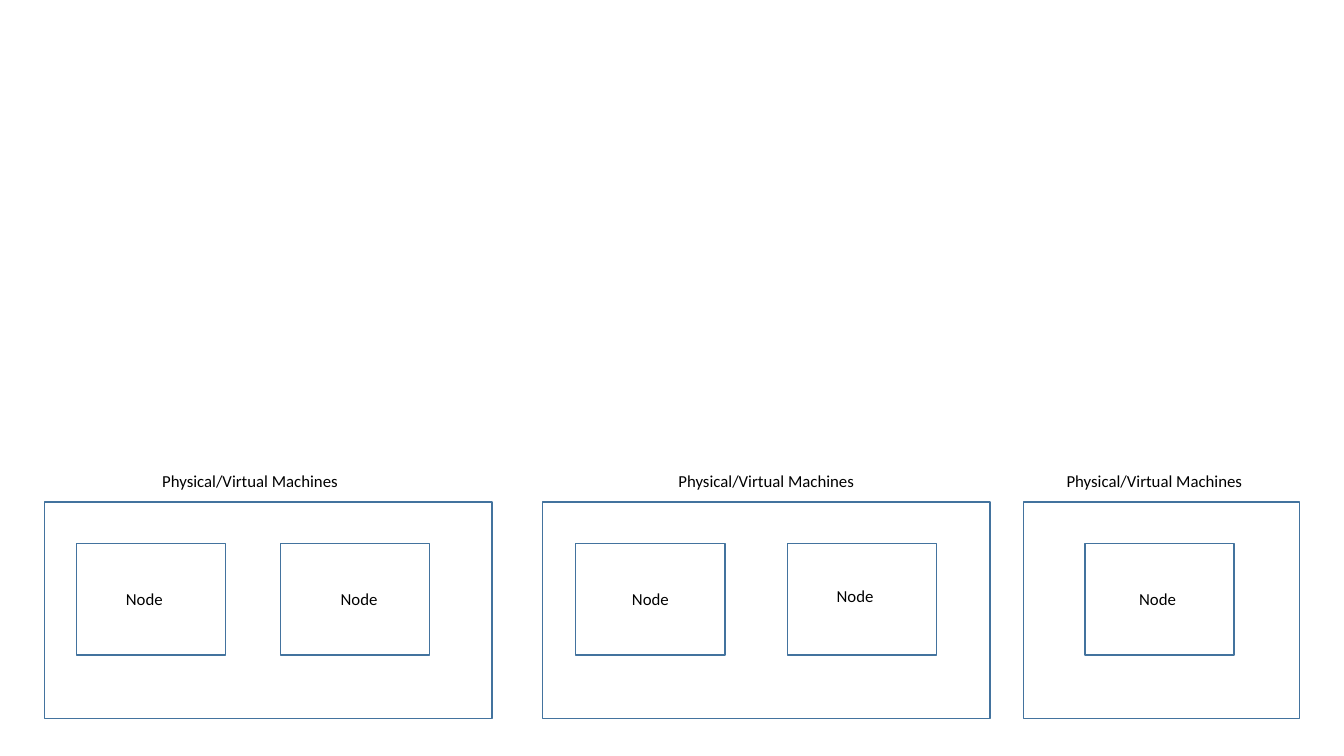
from pptx import Presentation
from pptx.dml.color import RGBColor
from pptx.enum import shapes, text
from pptx.util import Inches, Pt

MACHINE_LABEL = "Physical/Virtual Machines"
NODE_LABEL = "Node"

# Left edges and widths in inches; each node is (box left, label left, label top)
MACHINES = [
    {"left": 0.44, "width": 4.44, "label_left": 1.51,
     "nodes": [(0.76, 1.15, 5.79), (2.78, 3.28, 5.79)]},
    {"left": 5.38, "width": 4.44, "label_left": 6.63,
     "nodes": [(5.71, 6.17, 5.79), (7.81, 8.2, 5.76)]},
    {"left": 10.15, "width": 2.74, "label_left": 10.48,
     "nodes": [(10.76, 11.2, 5.79)]},
]

MACHINE_TOP, MACHINE_HEIGHT = 4.98, 2.15
NODE_TOP, NODE_WIDTH, NODE_HEIGHT = 5.39, 1.48, 1.11
LABEL_TOP, LABEL_HEIGHT = 4.62, 0.3
MACHINE_LABEL_WIDTH, NODE_LABEL_WIDTH = 2.08, 0.6

THEME = {
    "line": RGBColor.from_string("43739E"),
    "line_width": Pt(1),
    "font": {"name": "Calibri", "size": Pt(12)},
    "text": RGBColor.from_string("000000"),
}


def add_box(s, left, top, width, height):
    sp = s.shapes.add_shape(shapes.MSO_SHAPE.RECTANGLE,
                            *map(Inches, (left, top, width, height)))
    sp.shadow.inherit = False
    sp.fill.background()
    sp.line.color.rgb = THEME["line"]
    sp.line.width = THEME["line_width"]


def add_label(s, wording, left, top, width):
    sp = s.shapes.add_textbox(*map(Inches, (left, top, width, LABEL_HEIGHT)))
    tf = sp.text_frame
    tf.word_wrap = True
    tf.auto_size = text.MSO_AUTO_SIZE.SHAPE_TO_FIT_TEXT
    r = tf.paragraphs[0].add_run()
    r.text = wording
    for name, value in THEME["font"].items():
        setattr(r.font, name, value)
    r.font.color.rgb = THEME["text"]


def main():
    prs = Presentation()
    prs.slide_width, prs.slide_height = Inches(13.33), Inches(7.5)
    s = prs.slides.add_slide(prs.slide_layouts[6])
    for machine in MACHINES:
        add_box(s, machine["left"], MACHINE_TOP, machine["width"], MACHINE_HEIGHT)
        add_label(s, MACHINE_LABEL, machine["label_left"], LABEL_TOP,
                  MACHINE_LABEL_WIDTH)
        for left, label_left, label_top in machine["nodes"]:
            add_box(s, left, NODE_TOP, NODE_WIDTH, NODE_HEIGHT)
            add_label(s, NODE_LABEL, label_left, label_top, NODE_LABEL_WIDTH)
    prs.save("out.pptx")


if __name__ == "__main__":
    main()
